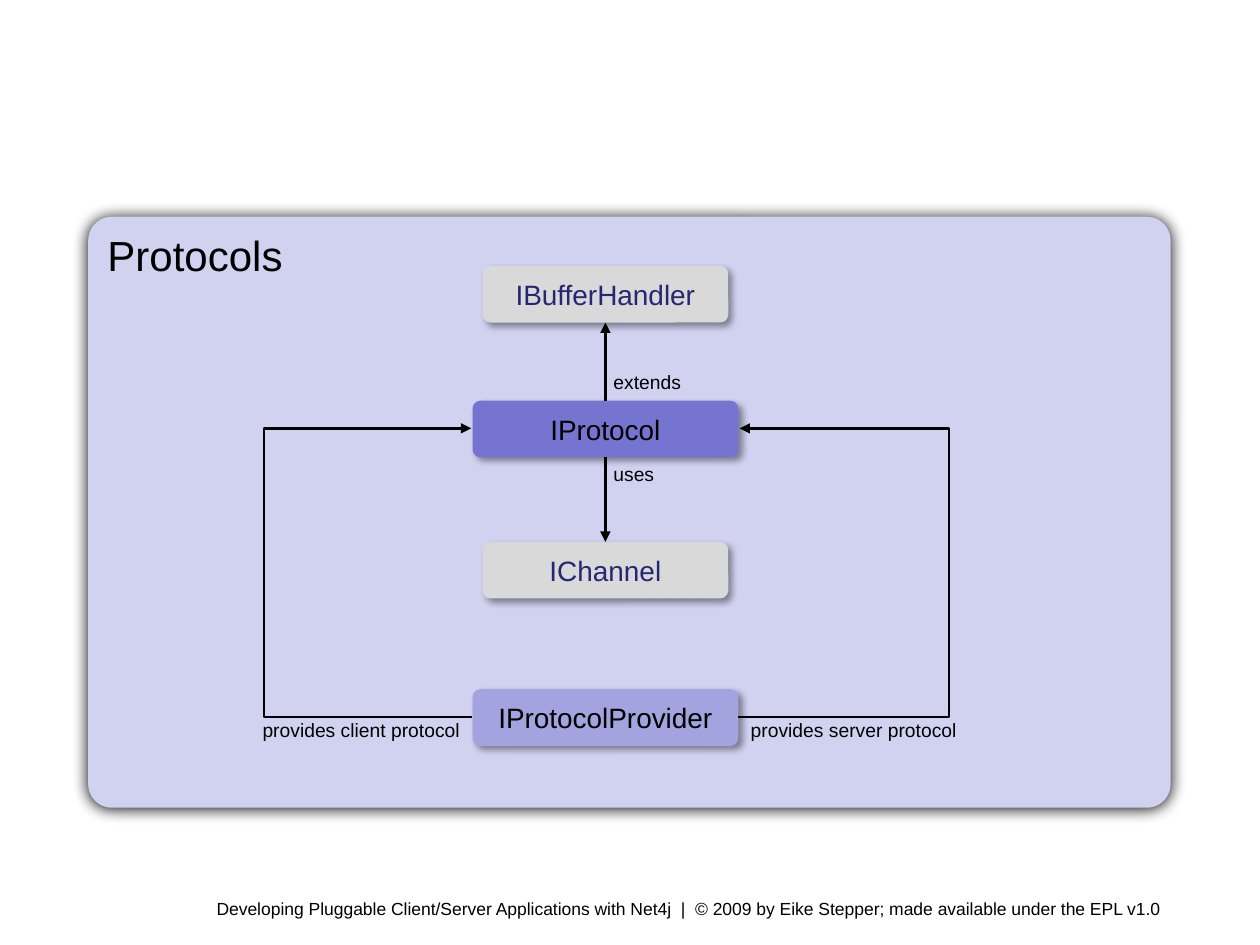
import pptx
import pptx.util
import pptx.dml.color
import pptx.enum.shapes
import pptx.enum.text
import pptx.oxml
import pptx.oxml.ns

Inches, Pt = pptx.util.Inches, pptx.util.Pt
RGB = pptx.dml.color.RGBColor.from_string
ALIGN = pptx.enum.text.PP_ALIGN
ANCHOR = pptx.enum.text.MSO_ANCHOR
SHAPE = pptx.enum.shapes.MSO_SHAPE
CONNECTOR = pptx.enum.shapes.MSO_CONNECTOR
NS = pptx.oxml.ns.nsdecls("a")

COLORS = {
    "black": "000000",
    "panel": "D1D1F0",
    "protocol": "7575D1",
    "provider": "A3A3E0",
    "gray": "D9D9D9",
    "navy": "262673",
}

prs = pptx.Presentation()
prs.slide_width, prs.slide_height = Inches(10), Inches(7.5)
s = prs.slides.add_slide(prs.slide_layouts[6])


def set_text(sp, text, size, color="black", align=ALIGN.LEFT, anchor=ANCHOR.TOP):
    tf = sp.text_frame
    tf.word_wrap = True
    tf.vertical_anchor = anchor
    tf.text = text
    p = tf.paragraphs[0]
    p.alignment = align
    r = p.runs[0]
    r.font.name, r.font.size = "Arial", Pt(size)
    r.font.color.rgb = RGB(COLORS[color])


def add_rounded(x, y, w, h, radius, fill, blur, dist, angle, alpha):
    """Add a borderless rounded rectangle with an outer shadow; alpha in percent."""
    sp = s.shapes.add_shape(SHAPE.ROUNDED_RECTANGLE,
                            Inches(x), Inches(y), Inches(w), Inches(h))
    sp.adjustments[0] = radius
    sp.fill.solid()
    sp.fill.fore_color.rgb = RGB(COLORS[fill])
    sp.line.fill.background()
    sp.shadow.inherit = False
    effects = sp._element.spPr.find(pptx.oxml.ns.qn("a:effectLst"))
    effects.append(pptx.oxml.parse_xml(
        f'<a:outerShdw {NS} blurRad="{Pt(blur)}" dist="{Pt(dist)}" dir="{angle * 60000}" '
        f'algn="ctr" rotWithShape="0"><a:srgbClr val="{COLORS["black"]}">'
        f'<a:alpha val="{alpha * 1000}"/></a:srgbClr></a:outerShdw>'))
    return sp


panel = add_rounded(0.7, 1.72, 8.59, 4.69, 0.04, "panel", 8.5, 1, 90, 100)
set_text(panel, "Protocols", 24)

# Interface boxes share one centre line
CENTER, BOX_H = 4.805, 0.45
boxes = {}
for name, y, w, fill, color in [
    ("IBufferHandler", 2.11, 1.95, "gray", "navy"),
    ("IProtocol", 3.18, 2.11, "protocol", "black"),
    ("IChannel", 4.3, 1.95, "gray", "navy"),
    ("IProtocolProvider", 5.47, 2.11, "provider", "black"),
]:
    sp = add_rounded(CENTER - w / 2, y, w, BOX_H, 0.14, fill, 4, 3, 45, 40)
    set_text(sp, name, 16, color, ALIGN.CENTER, ANCHOR.MIDDLE)
    boxes[name] = sp

# Vertical arrows out of IProtocol: begin side, target, target side
arrows = []
for begin, target, end in [(0, "IBufferHandler", 2), (2, "IChannel", 0)]:
    line = s.shapes.add_connector(CONNECTOR.STRAIGHT, 0, 0, 0, 0)
    line.begin_connect(boxes["IProtocol"], begin)
    line.end_connect(boxes[target], end)
    arrows.append(line)

# Elbow arrows loop outwards from IProtocolProvider to IProtocol.
# The bend is given as a multiple of the small width between the two ends.
STEP = 0.01
for x, direction, reach in [(5.86, 1, 1.7), (3.75, -1, 1.68)]:
    line = s.shapes.add_connector(CONNECTOR.ELBOW, Inches(x), Inches(5.69),
                                  Inches(x + direction * STEP), Inches(3.4))
    geometry = line._element.spPr.find(pptx.oxml.ns.qn("a:prstGeom"))
    geometry.get_or_add_avLst().append(pptx.oxml.parse_xml(
        f'<a:gd {NS} name="adj1" fmla="val {round(reach / STEP * 100000)}"/>'))
    arrows.append(line)

for line in arrows:
    line.line.color.rgb = RGB(COLORS["black"])
    line.line.width = Pt(1.5)
    line.line._get_or_add_ln().append(pptx.oxml.parse_xml(f'<a:tailEnd {NS} type="triangle"/>'))
    line._element.spPr.append(pptx.oxml.parse_xml(f"<a:effectLst {NS}/>"))

FOOTER = ("Developing Pluggable Client/Server Applications with Net4j  |  "
          "© 2009 by Eike Stepper; made available under the EPL v1.0")
for text, x, y, w, h, size, align in [
    ("extends", 4.77, 2.89, 1.09, 0.29, 11, ALIGN.LEFT),
    ("uses", 4.77, 3.62, 1.09, 0.29, 11, ALIGN.LEFT),
    ("provides client protocol", 1.41, 5.65, 2.34, 0.29, 11, ALIGN.RIGHT),
    ("provides server protocol", 5.86, 5.65, 2.34, 0.29, 11, ALIGN.LEFT),
    (FOOTER, 1.62, 7.08, 8.38, 0.27, 10, ALIGN.LEFT),
]:
    sp = s.shapes.add_textbox(Inches(x), Inches(y), Inches(w), Inches(h))
    set_text(sp, text, size, align=align)

prs.save("out.pptx")
